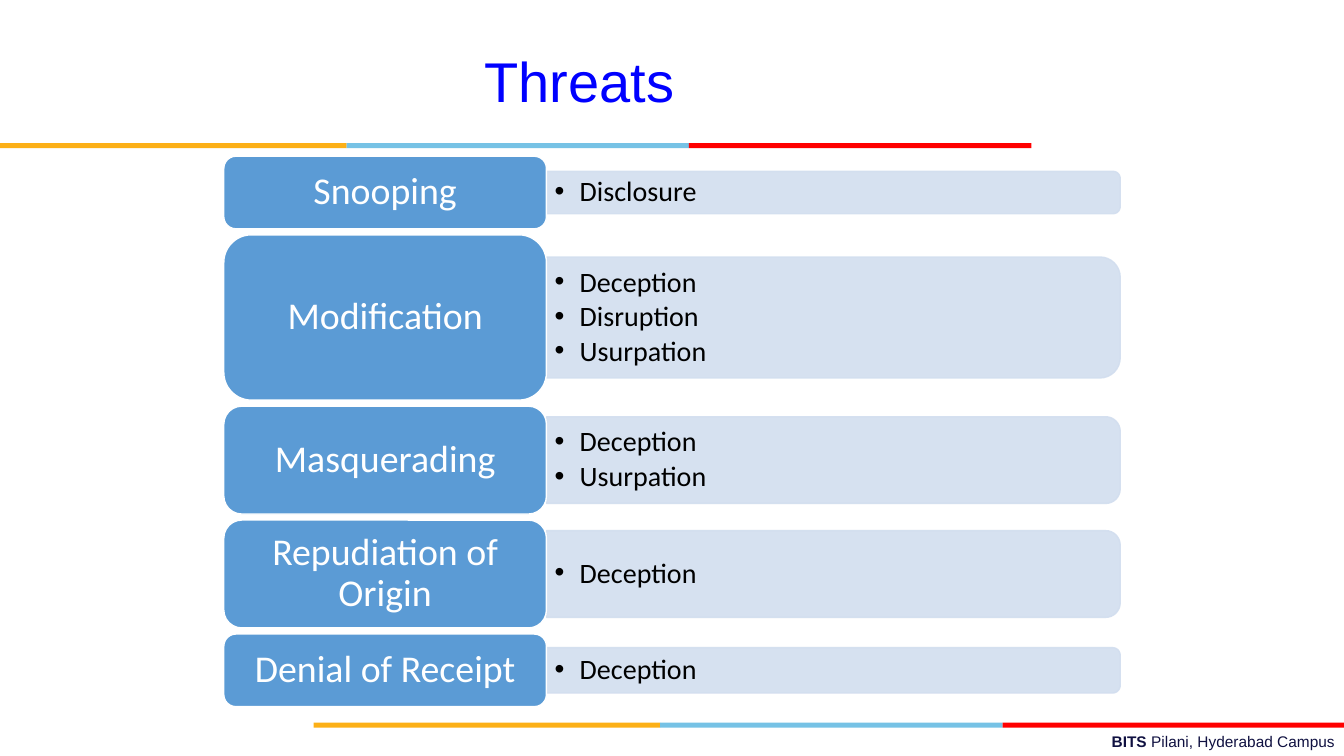
from collections import namedtuple
from math import cos, pi, sin

from lxml import etree
from pptx import Presentation
from pptx.dml.color import RGBColor
from pptx.enum.shapes import MSO_SHAPE
from pptx.enum.text import MSO_ANCHOR, PP_ALIGN
from pptx.oxml.ns import qn
from pptx.util import Inches, Pt

RECTANGLE = MSO_SHAPE.RECTANGLE
ROUNDED = MSO_SHAPE.ROUNDED_RECTANGLE
MIDDLE = MSO_ANCHOR.MIDDLE
LEFT, CENTER, RIGHT = PP_ALIGN.LEFT, PP_ALIGN.CENTER, PP_ALIGN.RIGHT

AMBER = RGBColor(0xFC, 0xB0, 0x17)
SKY = RGBColor(0x76, 0xC2, 0xE5)
RED = RGBColor(0xFF, 0x00, 0x00)
NAVY = RGBColor(0x10, 0x11, 0x41)
TITLE_BLUE = RGBColor(0x00, 0x00, 0xFF)
LABEL_BLUE = RGBColor(0x5B, 0x9B, 0xD5)
PALE_BLUE = RGBColor(0xD2, 0xDE, 0xEF)
WHITE = RGBColor(0xFF, 0xFF, 0xFF)
BLACK = RGBColor(0x00, 0x00, 0x00)

Box = namedtuple("Box", "left top width height")

CORNER_RATIO = 1 / 6
ROW_GAP = 0.06
LABEL_WIDTH = 3.2
THREATS = [
    ("Snooping", ["Disclosure"], 0.72, 0.42),
    ("Modification", ["Deception", "Disruption", "Usurpation"], 1.64, 1.2),
    ("Masquerading", ["Deception", "Usurpation"], 1.07, 0.86),
    ("Repudiation of Origin", ["Deception"], 1.07, 0.86),
    ("Denial of Receipt", ["Deception"], 0.72, 0.45),
]


def in_inches(box):
    return [Inches(length) for length in box]


def add_span(para, text, font, size, color, bold=False):
    span = para.add_run()
    span.text = text
    span.font.name = font
    span.font.size = Pt(size)
    span.font.color.rgb = color
    span.font.bold = bold


def set_frame(frame, left, top, right, bottom):
    frame.word_wrap = True
    frame.vertical_anchor = MIDDLE
    frame.margin_left, frame.margin_top = Inches(left), Inches(top)
    frame.margin_right, frame.margin_bottom = Inches(right), Inches(bottom)


def paint(shape, fill, line=None):
    shape.shadow.inherit = False
    shape.fill.solid()
    shape.fill.fore_color.rgb = fill
    if line is None:
        shape.line.fill.background()
    else:
        shape.line.color.rgb = line
        shape.line.width = Pt(1)


def set_opacity(shape, percent):
    for color in shape._element.spPr.iter(qn("a:srgbClr")):
        etree.SubElement(color, qn("a:alpha"), val=str(percent * 1000))


def add_bullet(para):
    properties = para._p.get_or_add_pPr()
    properties.set("marL", str(Inches(0.25)))
    properties.set("indent", str(Inches(-0.25)))
    etree.SubElement(properties, qn("a:buFont"), typeface="Arial")
    etree.SubElement(properties, qn("a:buChar"), char="•")


def add_stripe(slide, box):
    left = box.left
    for color, share in ((AMBER, 0.336), (SKY, 0.332), (RED, 0.332)):
        width = box.width * share
        band = slide.shapes.add_shape(
            RECTANGLE, *in_inches((left, box.top, width, box.height)))
        paint(band, color)
        left += width


def add_title(slide, box):
    title = slide.shapes.title
    title.left, title.top, title.width, title.height = in_inches(box)
    set_frame(title.text_frame, 1.1, 0.05, 0.1, 0.05)
    para = title.text_frame.paragraphs[0]
    para.alignment = CENTER
    add_span(para, "Threats", "Arial", 40, TITLE_BLUE)


def add_footer(slide, box):
    frame = slide.shapes.add_textbox(*in_inches(box)).text_frame
    set_frame(frame, 0.1, 0.05, 0.1, 0.05)
    para = frame.paragraphs[0]
    para.alignment = RIGHT
    add_span(para, "BITS ", "Arial", 11, NAVY, True)
    add_span(para, "Pilani, Hyderabad Campus", "Arial", 11, NAVY)


def add_label(slide, box, text):
    label = slide.shapes.add_shape(ROUNDED, *in_inches(box))
    label.adjustments[0] = CORNER_RATIO
    paint(label, LABEL_BLUE, WHITE)
    set_frame(label.text_frame, 0.16, 0.1, 0.16, 0.1)
    para = label.text_frame.paragraphs[0]
    para.alignment = CENTER
    para.line_spacing = 0.9
    add_span(para, text, "Calibri", 27, WHITE)


def add_effects(slide, box, effects):
    right, bottom = box.left + box.width, box.top + box.height
    radius = box.height * CORNER_RATIO
    angles = [step * pi / 16 for step in range(9)]
    upper = [(right - radius + radius * sin(angle),
              box.top + radius - radius * cos(angle)) for angle in angles]
    lower = [(x, box.top + bottom - y) for x, y in reversed(upper)]
    outline = [in_inches(point) for point in upper + lower + [(box.left, bottom)]]
    builder = slide.shapes.build_freeform(Inches(box.left), Inches(box.top))
    builder.add_line_segments(outline, close=True)
    panel = builder.convert_to_shape()
    paint(panel, PALE_BLUE, PALE_BLUE)
    set_opacity(panel, 90)

    frame = panel.text_frame
    set_frame(frame, 0.08, 0.07, 0.12, 0.07)
    for index, effect in enumerate(effects):
        para = frame.add_paragraph() if index else frame.paragraphs[0]
        add_bullet(para)
        para.alignment = LEFT
        para.line_spacing = 0.9
        para.space_after = Pt(3)
        add_span(para, effect, "Calibri", 20, BLACK)


def add_threats(slide, left, top, width):
    for threat, effects, label_height, panel_height in THREATS:
        panel_top = top + (label_height - panel_height) / 2
        add_effects(slide, Box(left + LABEL_WIDTH, panel_top,
                               width - LABEL_WIDTH, panel_height), effects)
        add_label(slide, Box(left, top, LABEL_WIDTH, label_height), threat)
        top += label_height + ROW_GAP


def main():
    deck = Presentation()
    deck.slide_width, deck.slide_height = Inches(13.33), Inches(7.5)
    slide = deck.slides.add_slide(deck.slide_layouts[5])
    add_stripe(slide, Box(0, 1.42, 10.23, 0.05))
    add_stripe(slide, Box(3.11, 7.17, 10.23, 0.05))
    add_footer(slide, Box(4.78, 7.21, 8.56, 0.29))
    add_title(slide, Box(2.33, 0.41, 5.83, 0.77))
    add_threats(slide, 2.22, 1.55, 8.89)
    deck.save("out.pptx")


if __name__ == "__main__":
    main()
